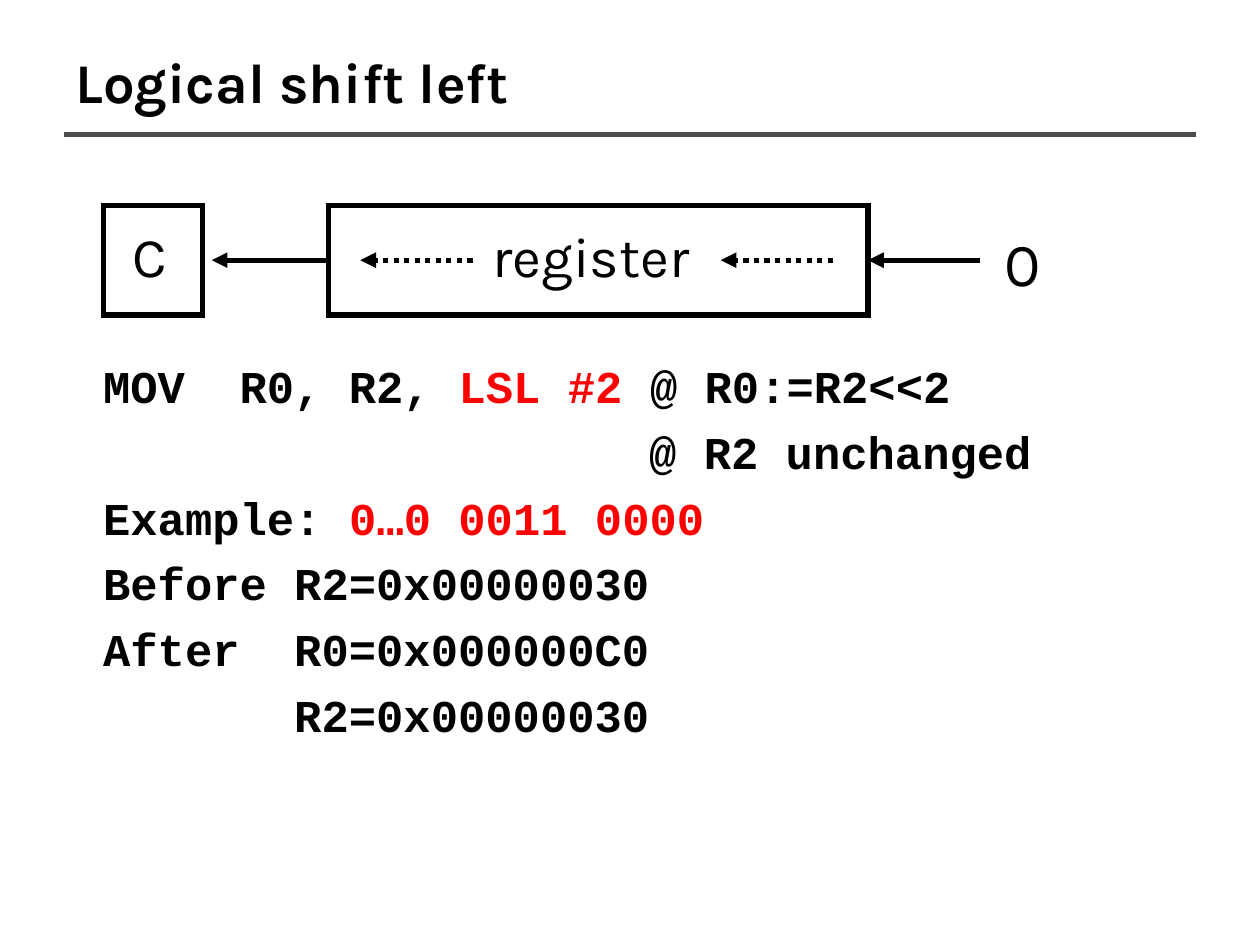
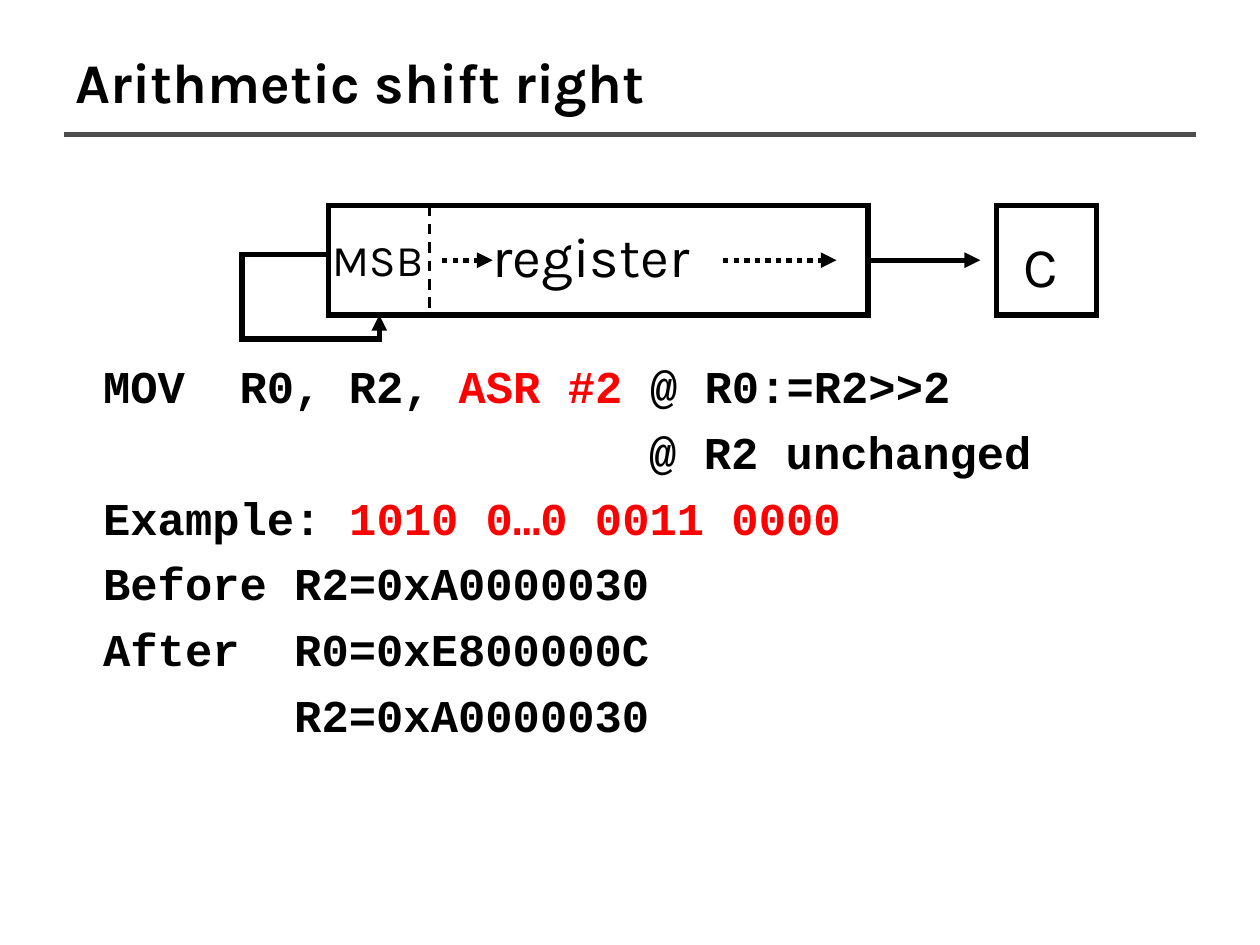
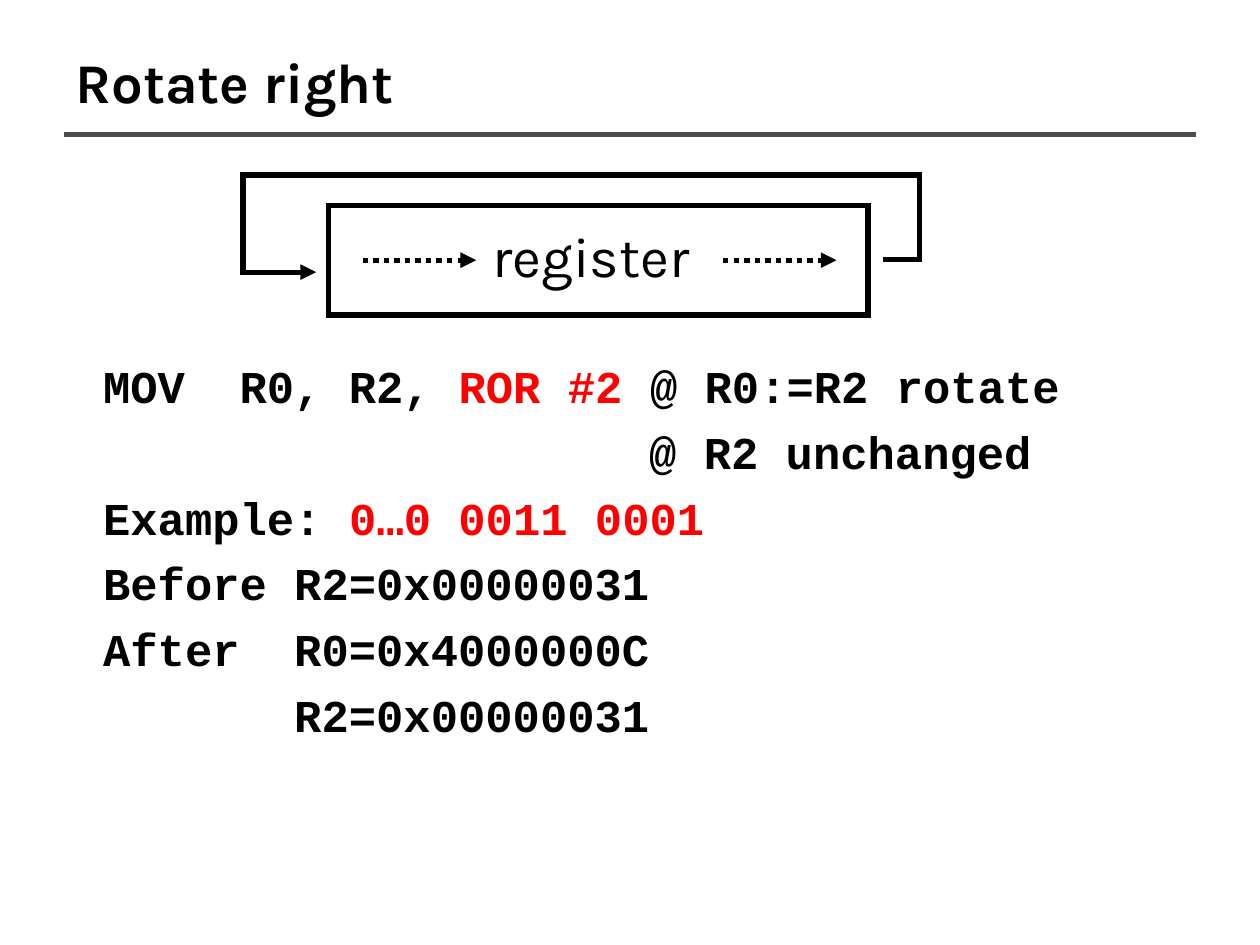
from lxml.etree import SubElement
from pptx import Presentation
from pptx.dml.color import RGBColor
from pptx.enum.dml import MSO_LINE
from pptx.enum.shapes import MSO_CONNECTOR, MSO_SHAPE
from pptx.enum.text import MSO_ANCHOR
from pptx.oxml.ns import qn
from pptx.util import Inches, Pt

BLACK = RGBColor(0x00, 0x00, 0x00)
RED = RGBColor(0xFF, 0x00, 0x00)
GREY = RGBColor(0x4D, 0x4D, 0x4D)
SANS, MONO = "Karla", "Courier New"

TOP, TALL = 1.63, 0.87
MID = TOP + TALL / 2
LEFT, RIGHT = 2.61, 6.89
DOT, DASH = MSO_LINE.ROUND_DOT, MSO_LINE.DASH


def stroke(shape, width=3, color=BLACK, dash=None, arrow=False):
    """Set the outline, with square corners and no shadow."""
    line = shape.line
    line.color.rgb = color
    line.width = Pt(width)
    if dash:
        line.dash_style = dash
    props = shape.element.spPr
    edge = props.find(qn("a:ln"))
    SubElement(edge, qn("a:miter"), lim="800000")
    if arrow:
        SubElement(edge, qn("a:tailEnd"), type="triangle")
    SubElement(props, qn("a:effectLst"))


def write(slide, at, rows, size, font=SANS, bold=False, pad=(0.12, 0.06), wrap=False):
    """Add a text box; each row is a list of (text, color) runs."""
    frame = slide.shapes.add_textbox(*map(Inches, at)).text_frame
    frame.word_wrap = wrap
    frame.margin_left = frame.margin_right = Inches(pad[0])
    frame.margin_top = frame.margin_bottom = Inches(pad[1])
    for i, row in enumerate(rows):
        para = frame.add_paragraph() if i else frame.paragraphs[0]
        para.space_before = Pt(6.5 if i else 0)
        for text, color in row:
            run = para.add_run()
            run.text = text
            run.font.name = font
            run.font.size = Pt(size)
            run.font.bold = bold
            run.font.color.rgb = color
    return frame


# title, operation, comment, bits, R2 value, R0 value, width of the code
CODE = [
    ("Logical shift left", "LSL", "R0:=R2<<2", "0…0 0011 0000", "00000030", "000000C0", 8.85),
    ("Arithmetic shift right", "ASR", "R0:=R2>>2", "1010 0…0 0011 0000", "A0000030", "E800000C", 8.85),
    ("Rotate right", "ROR", "R0:=R2 rotate", "0…0 0011 0001", "00000031", "4000000C", 9.05),
]
# left edges of the carry box and its letter, top of the letter
CARRY = [(0.82, 0.93, 1.7), (7.91, 8, 1.78), None]
LABELS = [
    [("0", (7.85, 1.73, 0.53, 0.71), 35)],
    [("MSB", (2.52, 1.79, 0.98, 0.54), 25)],
    [],
]
# start x, end x, dash, side of the register where the arrow begins, and ends
ARROWS = [
    [(7.78, RIGHT, None, None, 3), (LEFT, 1.68, None, 1, None),
     (6.61, 5.72, DOT, None, None), (3.75, 2.86, DOT, None, None)],
    [(RIGHT, 7.78, None, 3, None), (3.51, 3.91, DOT, None, None),
     (5.74, 6.64, DOT, None, None)],
    [(5.74, 6.64, DOT, None, None), (2.88, 3.78, DOT, None, None)],
]
LOOPS = [
    [],
    [(LEFT, 2.02), (1.92, 2.02), (1.92, 2.69), (3.01, 2.69), (3.01, 2.5)],
    [(7.01, 2.06), (7.3, 2.06), (7.3, 1.39), (1.93, 1.39), (1.93, 2.16), (2.51, 2.16)],
]

deck = Presentation()
deck.slide_width, deck.slide_height = Inches(10), Inches(7.5)

for code, carry, labels, arrows, loop in zip(CODE, CARRY, LABELS, ARROWS, LOOPS):
    title, op, note, bits, old, new, span = code
    slide = deck.slides.add_slide(deck.slide_layouts[6])
    shapes = slide.shapes

    rule = shapes.add_connector(
        MSO_CONNECTOR.STRAIGHT, Inches(0.51), Inches(1.07), Inches(9.49), Inches(1.07))
    stroke(rule, color=GREY)
    head = write(slide, (0.5, 0.3, 9, 0.69), [[(title, BLACK)]], 32,
                 bold=True, pad=(0.1, 0.05), wrap=True)
    head.vertical_anchor = MSO_ANCHOR.MIDDLE

    rows = [
        [("MOV  R0, R2, ", BLACK), (f"{op} #2", RED), (f" @ {note}", BLACK)],
        [("                    @ R2 unchanged", BLACK)],
        [("Example: ", BLACK), (bits, RED)],
        [(f"Before R2=0x{old}", BLACK)],
        [(f"After  R0=0x{new}", BLACK)],
        [(f"       R2=0x{old}", BLACK)],
    ]
    write(slide, (0.72, 2.79, span, 4.04), rows, 26, MONO, True, (0.1, 0.05), True)

    boxes = [(LEFT, RIGHT - LEFT)]
    words = [("register", (3.79, 1.7, 1.88, 0.66), 32)] + labels
    if carry:
        edge, left, top = carry
        boxes.append((edge, 0.79))
        words.append(("C", (left, top, 0.53, 0.66), 32))
    rects = []
    for left, wide in boxes:
        rect = shapes.add_shape(
            MSO_SHAPE.RECTANGLE, Inches(left), Inches(TOP), Inches(wide), Inches(TALL))
        rect.fill.background()
        stroke(rect)
        rects.append(rect)
    for text, at, size in words:
        write(slide, at, [[(text, BLACK)]], size)

    for start, end, dash, tail, tip in arrows:
        arrow = shapes.add_connector(
            MSO_CONNECTOR.STRAIGHT, Inches(start), Inches(MID), Inches(end), Inches(MID))
        if tail is not None:
            arrow.begin_connect(rects[0], tail)
        if tip is not None:
            arrow.end_connect(rects[0], tip)
        stroke(arrow, dash=dash, arrow=True)

    if loop:
        spots = [(Inches(x), Inches(y)) for x, y in loop]
        pen = shapes.build_freeform(*spots[0])
        pen.add_line_segments(spots[1:], close=False)
        bend = pen.convert_to_shape()
        bend.fill.background()
        stroke(bend, arrow=True)

    if op == "ASR":
        split = shapes.add_connector(
            MSO_CONNECTOR.STRAIGHT, Inches(3.41), Inches(TOP), Inches(3.41), Inches(TOP + TALL))
        stroke(split, 1.5, dash=DASH)

deck.save("out.pptx")
